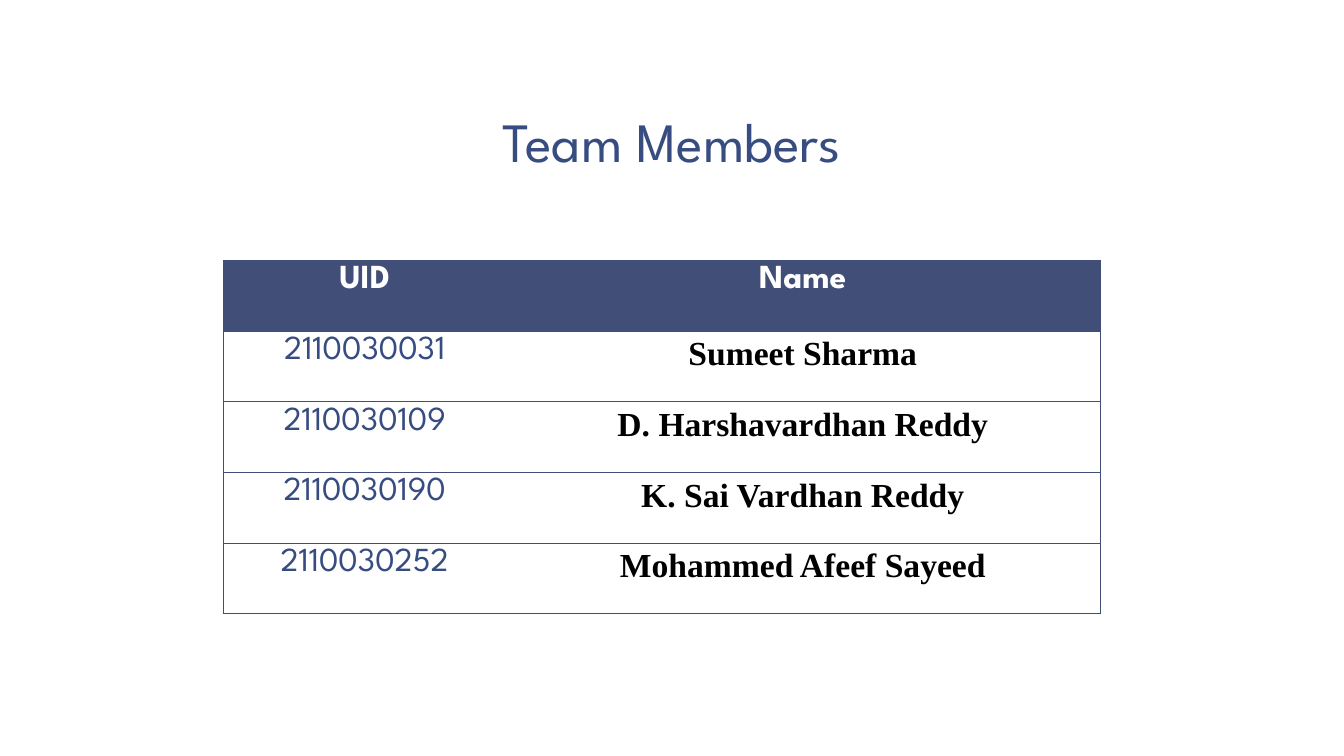
from dataclasses import dataclass

from lxml.etree import SubElement
from pptx import Presentation
from pptx.dml.color import RGBColor as RGB
from pptx.enum.text import MSO_ANCHOR as Anchor, MSO_AUTO_SIZE as AutoSize, PP_ALIGN as Align
from pptx.oxml.ns import qn
from pptx.util import Cm, Pt


@dataclass(frozen=True)
class Theme:
    """Colours, fonts and sizes of the slide."""
    ink: str = "374C81"
    band: str = "414E77"
    white: str = "FFFFFF"
    black: str = "000000"
    sans: str = "League Spartan"
    serif: str = "Times New Roman"
    title: float = 39.6
    body: float = 24
    rule: float = 0.5


T = Theme()
HEADER = ("UID", "Name")
MEMBERS = (
    ("2110030031", "Sumeet Sharma"),
    ("2110030109", "D. Harshavardhan Reddy"),
    ("2110030190", "K. Sai Vardhan Reddy"),
    ("2110030252", "Mohammed Afeef Sayeed"),
)
COL_WIDTHS = (7.1, 14.98)
ROW_HEIGHT = 1.78


def write(tf, text, *, font=T.sans, size=T.body, color=T.ink, bold=False, spacing=None):
    """Put one centred, formatted line into a text frame."""
    p = tf.paragraphs[0]
    p.alignment = Align.CENTER
    p.line_spacing = spacing
    r = p.add_run()
    r.text = text
    r.font.name = font
    r.font.size = Pt(size)
    r.font.bold = bold
    r.font.color.rgb = RGB.from_string(color)


def set_borders(cell, sides):
    """Rule the given sides of a cell and clear the others."""
    tcPr = cell._tc.get_or_add_tcPr()
    for side in "LRTB":
        ln = SubElement(tcPr, qn(f"a:ln{side}"), w=str(Pt(T.rule)))
        if side in sides:
            fill = SubElement(ln, qn("a:solidFill"))
            SubElement(fill, qn("a:srgbClr"), val=T.band)
        else:
            SubElement(ln, qn("a:noFill"))


def add_title(s, text):
    """Place and format the title placeholder."""
    sp = s.shapes.title
    sp.left, sp.top, sp.width, sp.height = Cm(5.36), Cm(2.64), Cm(23.14), Cm(1.93)
    tf = sp.text_frame
    tf.word_wrap = True
    tf.auto_size = AutoSize.NONE
    tf.vertical_anchor = Anchor.BOTTOM
    tf.margin_left = tf.margin_right = Cm(0.33)
    tf.margin_top = tf.margin_bottom = Cm(0.18)
    write(tf, text, size=T.title, spacing=0.85)


def add_member_table(s):
    """Add the table of team members."""
    rows = (HEADER, *MEMBERS)
    table = s.shapes.add_table(len(rows), len(HEADER), Cm(5.64), Cm(6.56),
                               Cm(sum(COL_WIDTHS)), Cm(ROW_HEIGHT * len(rows))).table
    table.horz_banding = False
    for col, width in zip(table.columns, COL_WIDTHS):
        col.width = Cm(width)
    header_style = dict(color=T.white, bold=True)
    column_styles = (dict(), dict(font=T.serif, color=T.black, bold=True))
    for i, values in enumerate(rows):
        table.rows[i].height = Cm(ROW_HEIGHT)
        for j, (text, style) in enumerate(zip(values, column_styles)):
            cell = table.cell(i, j)
            set_borders(cell, "TB" + "LR"[j])
            if i == 0:
                cell.fill.solid()
                cell.fill.fore_color.rgb = RGB.from_string(T.band)
            else:
                cell.fill.background()
            write(cell.text_frame, text, **(header_style if i == 0 else style))


def main():
    """Build the slide and save it."""
    prs = Presentation()
    prs.slide_width, prs.slide_height = Cm(33.87), Cm(19.05)
    s = prs.slides.add_slide(prs.slide_layouts[5])
    add_title(s, "Team Members")
    add_member_table(s)
    prs.save("out.pptx")


if __name__ == "__main__":
    main()
